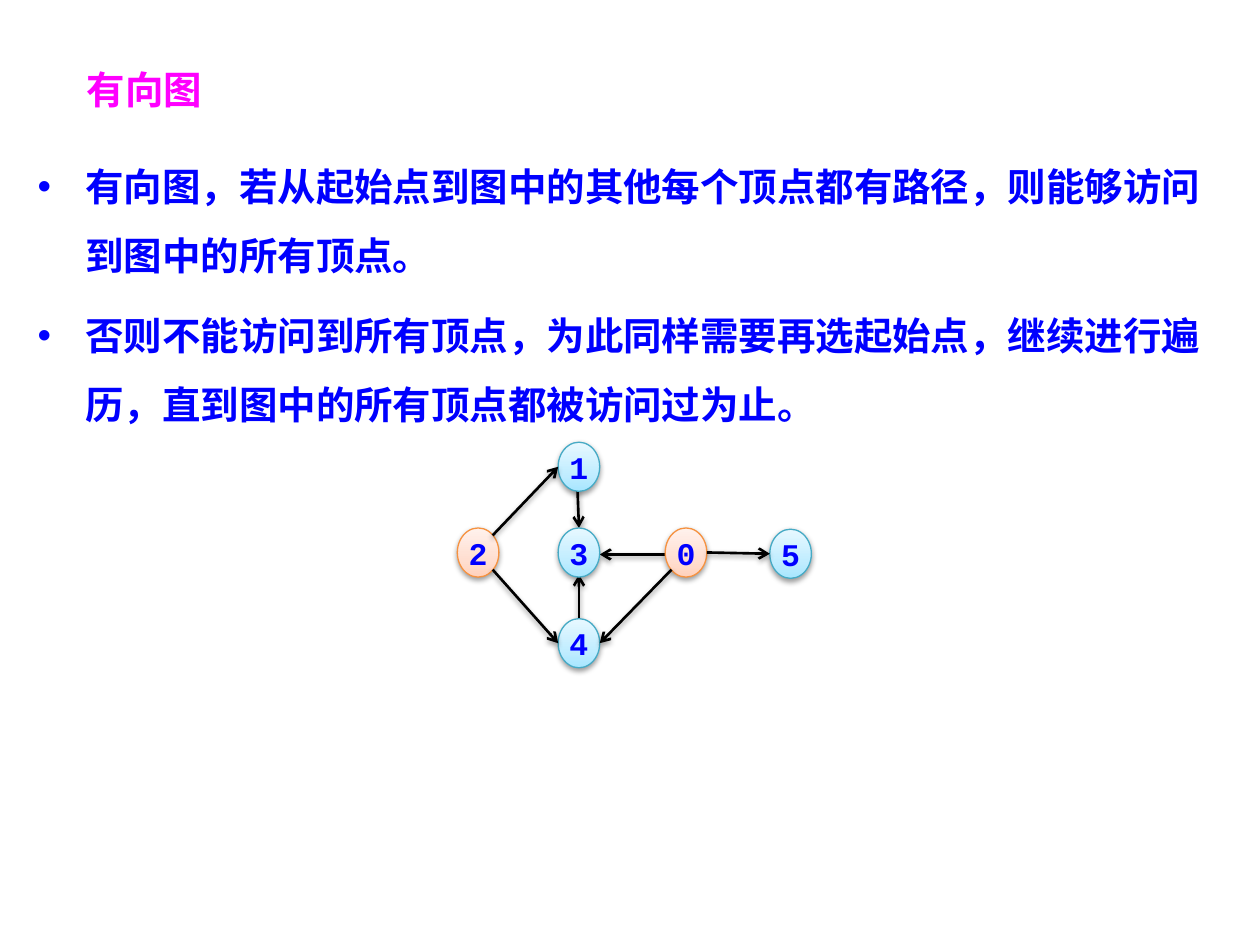
from dataclasses import dataclass

from pptx import Presentation
from pptx import util as u
from pptx.dml.color import RGBColor
from pptx.enum import shapes, text
from pptx.oxml import parse_xml
from pptx.oxml.ns import nsdecls, qn

COLUMN = ROW = u.Inches(0.1)
NODE_WIDTH, NODE_HEIGHT = 3.3, 3.9

BLUE = RGBColor(0x00, 0x00, 0xFF)
MAGENTA = RGBColor(0xFF, 0x00, 0xFF)
BLACK = RGBColor(0x00, 0x00, 0x00)
AQUA_LINE = RGBColor(0x46, 0xAA, 0xC5)
ORANGE_LINE = RGBColor(0xF6, 0x92, 0x40)
AQUA_STOPS = (
    (0, RGBColor(0xA7, 0xE6, 0xFF)),
    (35, RGBColor(0xC1, 0xED, 0xFF)),
    (100, RGBColor(0xE7, 0xF8, 0xFF)),
)
ORANGE_STOPS = (
    (0, RGBColor(0xFF, 0xD2, 0xBD)),
    (35, RGBColor(0xFF, 0xDE, 0xD0)),
    (100, RGBColor(0xFF, 0xF2, 0xED)),
)

CODE_FONT = "Courier New"
HAN_FONT = "Noto Sans CJK SC"
HEADING = {"size": u.Pt(22), "name": HAN_FONT, "bold": True}
BODY = {"size": u.Pt(22), "name": CODE_FONT, "bold": True}
LABEL = {"size": u.Pt(18), "name": CODE_FONT, "bold": True}
NO_INSETS = dict.fromkeys(
    ("margin_left", "margin_top", "margin_right", "margin_bottom"), 0
)


@dataclass(frozen=True)
class Vertex:
    column: float
    row: float
    start: bool = False


@dataclass(frozen=True)
class Edge:
    source: int
    leaves: tuple[float, float]
    target: int
    enters: tuple[float, float]


TOP, BOTTOM = (0.5, 0), (0.5, 1)
LEFT, RIGHT = (0, 0.5), (1, 0.5)
UPPER_RIGHT, LOWER_RIGHT, LOWER_LEFT = (0.85, 0.15), (0.85, 0.85), (0.15, 0.85)

VERTICES = {
    1: Vertex(44.3, 35.1),
    3: Vertex(44.3, 41.9),
    0: Vertex(52.8, 41.9, start=True),
    2: Vertex(36.3, 41.9, start=True),
    4: Vertex(44.3, 49.1),
    5: Vertex(61.1, 42),
}
EDGES_BEHIND = (
    Edge(1, (0.45, 0.62), 3, TOP),
    Edge(4, (0.5, 0.08), 3, (0.5, 0.95)),
    Edge(0, (0, 0.54), 3, (1, 0.54)),
)
EDGES_IN_FRONT = (
    Edge(2, UPPER_RIGHT, 1, LEFT),
    Edge(0, RIGHT, 5, LEFT),
    Edge(0, LOWER_LEFT, 4, RIGHT),
    Edge(2, LOWER_RIGHT, 4, LEFT),
)
POINTS = (
    "有向图，若从起始点到图中的其他每个顶点都有路径，则能够访问到图中的所有顶点。",
    "否则不能访问到所有顶点，为此同样需要再选起始点，继续进行遍历，直到图中的所有顶点都被访问过为止。",
)


def apply(target, values: dict) -> None:
    for name, value in values.items():
        setattr(target, name, value)


def write(paragraph, wording: str, style: dict, colour: RGBColor) -> None:
    run = paragraph.add_run()
    run.text = wording
    apply(run.font, style)
    run.font.color.rgb = colour
    latin = run.font._element.find(qn("a:latin"))
    latin.addnext(parse_xml(f'<a:ea {nsdecls("a")} typeface="{HAN_FONT}"/>'))


def add_passage(slide, box: tuple[float, float, float, float],
                wordings: tuple[str, ...], style: dict, colour: RGBColor,
                bulleted: bool = False) -> None:
    left, top, width, height = box
    frame = slide.shapes.add_textbox(
        int(left * COLUMN), int(top * ROW), int(width * COLUMN), int(height * ROW)
    ).text_frame
    apply(frame, {"word_wrap": True,
                  "auto_size": text.MSO_AUTO_SIZE.SHAPE_TO_FIT_TEXT})
    for index, wording in enumerate(wordings):
        paragraph = frame.add_paragraph() if index else frame.paragraphs[0]
        paragraph.line_spacing = 1.5
        if bulleted:
            paragraph.space_before = u.Pt(6)
            properties = paragraph._p.get_or_add_pPr()
            properties.set("marL", str(u.Inches(0.38)))
            properties.set("indent", str(u.Inches(-0.38)))
            for tag in ('buFont typeface="Arial"', 'buChar char="•"'):
                properties.append(parse_xml(f'<a:{tag} {nsdecls("a")}/>'))
        write(paragraph, wording, style, colour)


def cast_shadow(item) -> None:
    item._element.spPr.append(parse_xml(
        f'<a:effectLst {nsdecls("a")}><a:outerShdw blurRad="{u.Pt(3.1)}" '
        f'dist="{u.Pt(1.6)}" dir="5400000" rotWithShape="0">'
        f'<a:srgbClr val="{BLACK}"><a:alpha val="38000"/></a:srgbClr>'
        '</a:outerShdw></a:effectLst>'
    ))


def add_vertex(slide, number: int, vertex: Vertex) -> None:
    oval = slide.shapes.add_shape(
        shapes.MSO_SHAPE.OVAL,
        int(vertex.column * COLUMN), int(vertex.row * ROW),
        int(NODE_WIDTH * COLUMN), int(NODE_HEIGHT * ROW),
    )
    stops = "".join(
        f'<a:gs pos="{share * 1000}"><a:srgbClr val="{colour}"/></a:gs>'
        for share, colour in (ORANGE_STOPS if vertex.start else AQUA_STOPS)
    )
    oval._element.spPr.append(parse_xml(
        f'<a:gradFill {nsdecls("a")} rotWithShape="1"><a:gsLst>{stops}</a:gsLst>'
        '<a:lin ang="16200000" scaled="0"/></a:gradFill>'
    ))
    oval.line.color.rgb = ORANGE_LINE if vertex.start else AQUA_LINE
    oval.line.width = u.Pt(0.75)
    cast_shadow(oval)
    apply(oval.text_frame, NO_INSETS)
    label = oval.text_frame.paragraphs[0]
    label.alignment = text.PP_ALIGN.CENTER
    write(label, str(number), LABEL, BLUE)


def site(number: int, share: tuple[float, float]) -> tuple[int, int]:
    vertex = VERTICES[number]
    return (int((vertex.column + share[0] * NODE_WIDTH) * COLUMN),
            int((vertex.row + share[1] * NODE_HEIGHT) * ROW))


def add_edge(slide, edge: Edge) -> None:
    arrow = slide.shapes.add_connector(
        shapes.MSO_CONNECTOR.STRAIGHT,
        *site(edge.source, edge.leaves), *site(edge.target, edge.enters),
    )
    arrow.line.color.rgb = BLACK
    arrow.line.width = u.Pt(1.5)
    arrow.line._get_or_add_ln().append(
        parse_xml(f'<a:tailEnd {nsdecls("a")} type="arrow"/>')
    )
    cast_shadow(arrow)


def main() -> None:
    deck = Presentation()
    apply(deck, {"slide_width": 100 * COLUMN, "slide_height": 75 * ROW})
    slide = deck.slides.add_slide(deck.slide_layouts[6])
    add_passage(slide, (2, 10.6, 96.9, 23.4), POINTS, BODY, BLUE, bulleted=True)
    add_passage(slide, (5.9, 2.9, 13.3, 5.9), ("有向图",), HEADING, MAGENTA)
    for edge in EDGES_BEHIND:
        add_edge(slide, edge)
    for number, vertex in VERTICES.items():
        add_vertex(slide, number, vertex)
    for edge in EDGES_IN_FRONT:
        add_edge(slide, edge)
    deck.save("out.pptx")


if __name__ == "__main__":
    main()
